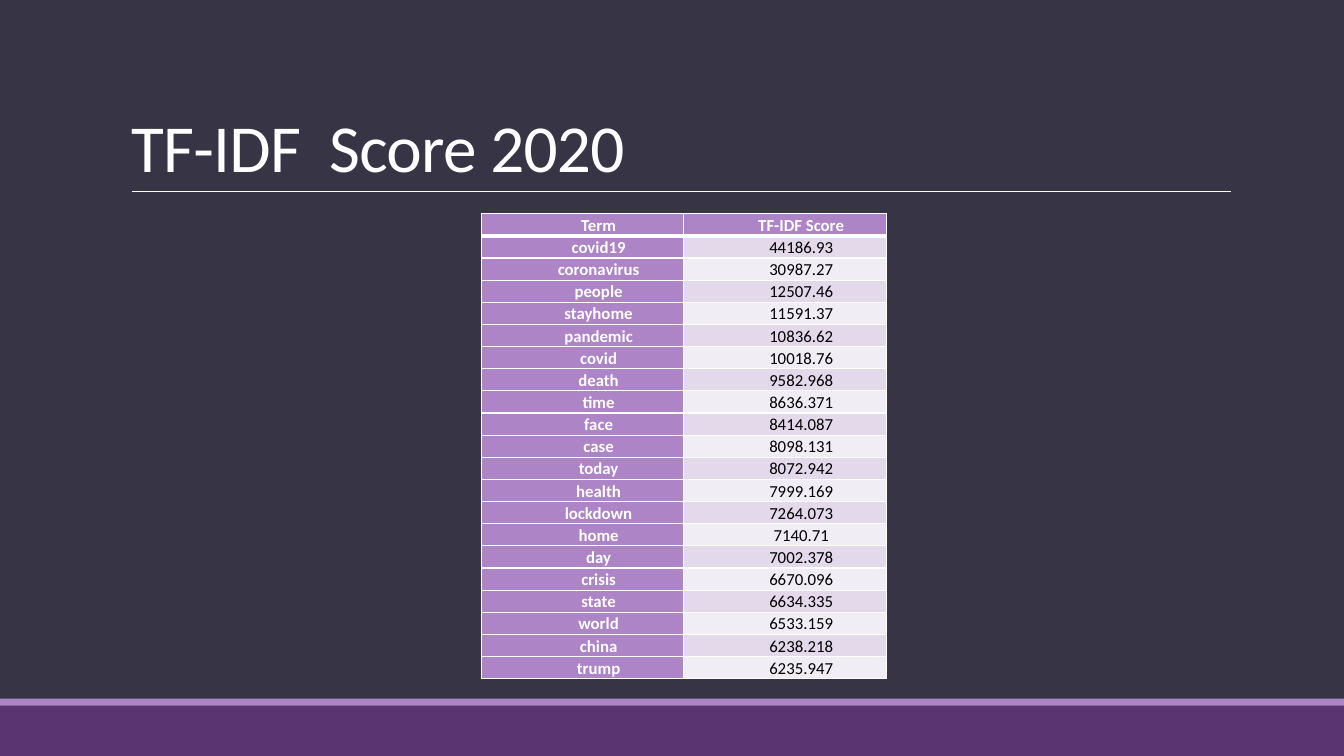
from lxml import etree
from pptx import Presentation
from pptx.dml.color import RGBColor
from pptx.enum.shapes import MSO_CONNECTOR, MSO_SHAPE
from pptx.enum.text import MSO_ANCHOR, MSO_AUTO_SIZE, PP_ALIGN
from pptx.oxml.ns import qn
from pptx.util import Inches, Pt

RECTANGLE = MSO_SHAPE.RECTANGLE
STRAIGHT = MSO_CONNECTOR.STRAIGHT
TOP, BOTTOM = MSO_ANCHOR.TOP, MSO_ANCHOR.BOTTOM
LEFT, CENTER = PP_ALIGN.LEFT, PP_ALIGN.CENTER
NO_AUTOFIT = MSO_AUTO_SIZE.NONE

SLATE = RGBColor(0x37, 0x35, 0x45)
PURPLE = RGBColor(0x5A, 0x34, 0x71)
LILAC = RGBColor(0xAD, 0x84, 0xC6)
PALE_LILAC = RGBColor(0xE3, 0xD9, 0xEA)
PALEST_LILAC = RGBColor(0xF1, 0xED, 0xF5)
WHITE = RGBColor(0xFF, 0xFF, 0xFF)
BLACK = RGBColor(0, 0, 0)

TITLE_ONLY = 5
HEADINGS = ("Term", "TF-IDF Score")
SCORES = (
    ("covid19", "44186.93"),
    ("coronavirus", "30987.27"),
    ("people", "12507.46"),
    ("stayhome", "11591.37"),
    ("pandemic", "10836.62"),
    ("covid", "10018.76"),
    ("death", "9582.968"),
    ("time", "8636.371"),
    ("face", "8414.087"),
    ("case", "8098.131"),
    ("today", "8072.942"),
    ("health", "7999.169"),
    ("lockdown", "7264.073"),
    ("home", "7140.71"),
    ("day", "7002.378"),
    ("crisis", "6670.096"),
    ("state", "6634.335"),
    ("world", "6533.159"),
    ("china", "6238.218"),
    ("trump", "6235.947"),
)


class SlideBuilder:
    """Places elements on one slide; lengths are percentages of its size."""

    font_name = "Calibri"

    def __init__(self, presentation, background):
        self.width = presentation.slide_width
        self.height = presentation.slide_height
        layout = presentation.slide_layouts[TITLE_ONLY]
        self.slide = presentation.slides.add_slide(layout)
        self.slide.background.fill.solid()
        self.slide.background.fill.fore_color.rgb = background

    def across(self, share):
        return round(self.width * share / 100)

    def down(self, share):
        return round(self.height * share / 100)

    def box(self, left, top, width, height):
        return self.across(left), self.down(top), self.across(width), self.down(height)

    def set_font(self, paragraph, size, color, bold=False):
        font = paragraph.font
        font.name, font.size, font.bold = self.font_name, Pt(size), bold
        font.color.rgb = color

    def band(self, top, height, color):
        shape = self.slide.shapes.add_shape(RECTANGLE, *self.box(0, top, 100, height))
        shape.shadow.inherit = False
        shape.fill.solid()
        shape.fill.fore_color.rgb = color
        shape.line.fill.background()

    def rule(self, left, right, top):
        start, end, level = self.across(left), self.across(right), self.down(top)
        line = self.slide.shapes.add_connector(STRAIGHT, start, level, end, level)
        line.line.color.rgb = WHITE
        line.line.width = Pt(0.5)
        etree.SubElement(line._element.spPr, qn("a:effectLst"))

    def title(self, text, left, top, width, height):
        title = self.slide.shapes.title
        title.left, title.top, title.width, title.height = self.box(left, top, width, height)
        frame = title.text_frame
        frame.text = text
        frame.word_wrap = True
        frame.auto_size = NO_AUTOFIT
        frame.vertical_anchor = BOTTOM
        paragraph = frame.paragraphs[0]
        paragraph.alignment = LEFT
        paragraph.line_spacing = 0.85
        self.set_font(paragraph, 48, WHITE)
        paragraph.runs[0]._r.get_or_add_rPr().set("spc", "-50")

    def table(self, records, left, top, width, height):
        """Draws a header row, a label column and banded values."""
        frame = self.slide.shapes.add_table(
            len(records), len(records[0]), *self.box(left, top, width, height))
        for row, record in enumerate(records):
            for column, text in enumerate(record):
                is_heading = row == 0 or column == 0
                band_color = PALE_LILAC if row % 2 else PALEST_LILAC
                cell = frame.table.cell(row, column)
                self.cell_borders(cell, bottom=3 if row == 0 else 1)
                cell.fill.solid()
                cell.fill.fore_color.rgb = LILAC if is_heading else band_color
                cell.vertical_anchor = BOTTOM if row else TOP
                self.cell_text(cell, text, is_heading)

    def cell_text(self, cell, text, is_heading):
        cell.margin_left = cell.margin_right = Inches(0.07)
        cell.margin_top = cell.margin_bottom = 0
        cell.text = text
        paragraph = cell.text_frame.paragraphs[0]
        properties = paragraph._p.get_or_add_pPr()
        properties.set("marL", str(Inches(0.33)))
        properties.set("indent", str(Inches(-0.01)))
        paragraph.alignment = CENTER
        paragraph.line_spacing = 1.07
        paragraph.space_after = Pt(0.1)
        self.set_font(paragraph, 12, WHITE if is_heading else BLACK, is_heading)

    def cell_borders(self, cell, bottom):
        properties = cell._tc.get_or_add_tcPr()
        for side, points in (("L", 1), ("R", 1), ("T", 1), ("B", bottom)):
            border = etree.SubElement(properties, qn(f"a:ln{side}"), w=str(Pt(points)))
            fill = etree.SubElement(border, qn("a:solidFill"))
            etree.SubElement(fill, qn("a:srgbClr"), val=str(WHITE))


def main():
    presentation = Presentation()
    presentation.slide_width = Inches(13.33)
    presentation.slide_height = Inches(7.5)
    builder = SlideBuilder(presentation, SLATE)
    builder.band(93.33, 6.67, PURPLE)
    builder.band(92.4, 0.93, LILAC)
    builder.rule(9.83, 91.6, 25.33)
    builder.title("TF-IDF  Score 2020", 9, 4.13, 82.5, 21.2)
    builder.table((HEADINGS, *SCORES), 35.8, 28.27, 30.15, 61.53)
    presentation.save("out.pptx")


if __name__ == "__main__":
    main()
